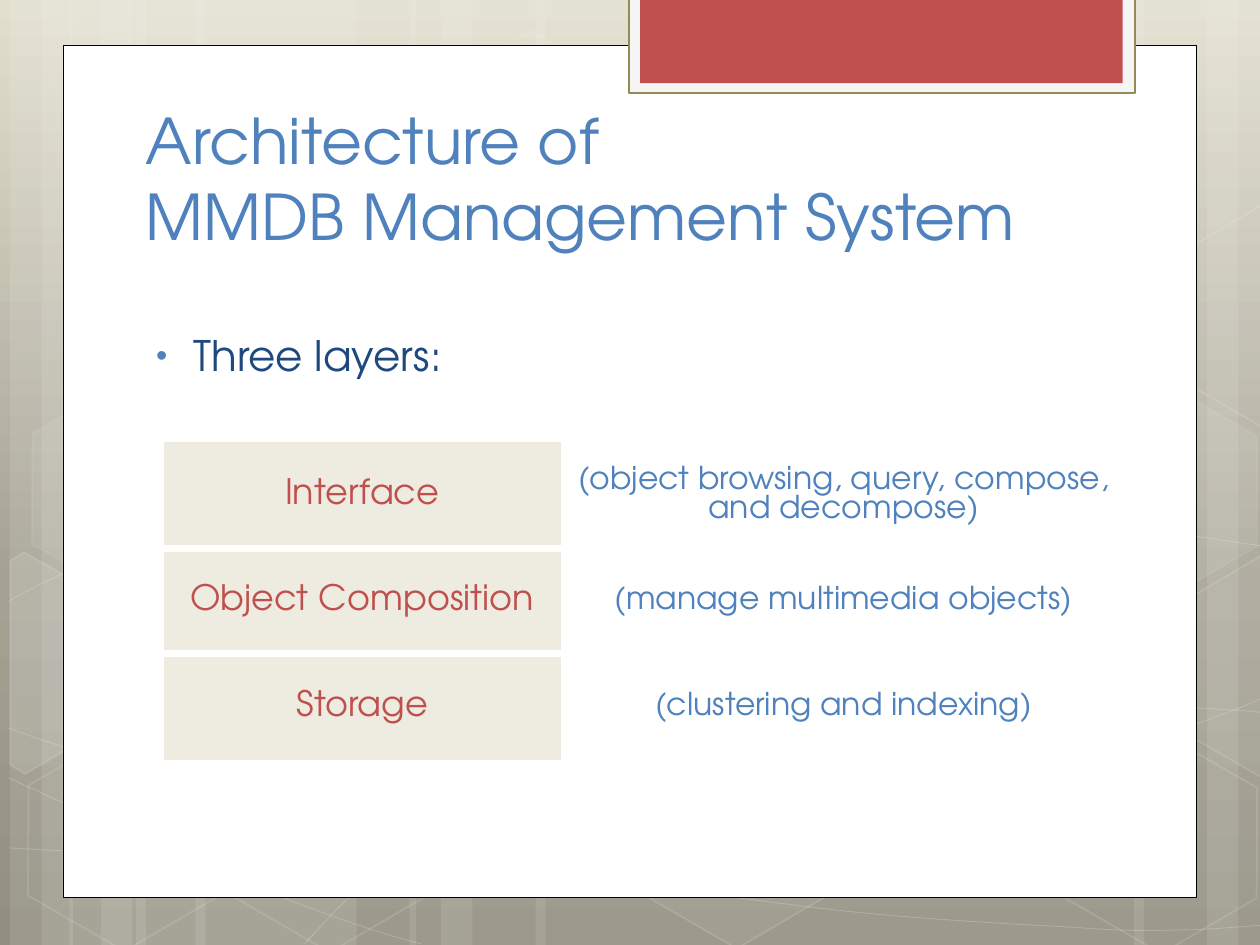
from copy import deepcopy
from math import cos, radians, sin
from lxml import etree
from pptx import Presentation, util as u
from pptx.dml.color import RGBColor
from pptx.enum import shapes, text
from pptx.oxml.ns import qn

C = dict(white="FFFFFF", black="000000", mat="F5F5F5", olive="948A54", red="C0504D",
         blue="4F81BD", navy="1F497D", cream="EEECE1")
FONT = "TeX Gyre Adventor"
NO_GRID = "{2D5ABB26-0587-4C30-8999-92F81FD0307C}"
COLS, ROWS = 10, 7.5  # slide grid, one unit to the inch

prs = Presentation()
prs.slide_width, prs.slide_height = u.Inches(COLS), u.Inches(ROWS)
s = prs.slides.add_slide(prs.slide_layouts[6])


def rgb(name):
    return RGBColor.from_string(C.get(name, name))


def inside(box, x, y, w, h):
    """Place a part, measured in grid units, relative to its box."""
    return box[0] + x, box[1] + y, w, h


def sub(parent, tag, **attrs):
    return etree.SubElement(parent, qn(tag), {k: str(v) for k, v in attrs.items()})


def paint(fill, color, alpha=100):
    if not color or not alpha:
        fill.background()
        return
    fill.solid()
    fill.fore_color.rgb = rgb(color)
    if alpha < 100:
        clr = fill._xPr.find(qn("a:solidFill"))[0]
        sub(clr, "a:alpha", val=alpha * 1000)


def style(sp, fill=None, alpha=100, line=None, width=1, line_alpha=100):
    sp.shadow.inherit = False
    paint(sp.fill, fill, alpha)
    paint(sp.line.fill, line, line_alpha)
    if line:
        sp.line.width = u.Pt(width)
    return sp


def shape(kind, box, **look):
    return style(s.shapes.add_shape(kind, *map(u.Inches, box)), **look)


def rect(box, **look):
    return shape(shapes.MSO_SHAPE.RECTANGLE, box, **look)


def outline(box, points, closed, **look):
    pts = [(u.Inches(box[0] + x), u.Inches(box[1] + y)) for x, y in points]
    fb = s.shapes.build_freeform(*pts[0])
    fb.add_line_segments(pts[1:], close=closed)
    return style(fb.convert_to_shape(), **look)


def curve(box, points, straight=(), **look):
    """Join each three points into one cubic curve, save for straight ends."""
    sp = outline(box, points, False, **look)
    segs = list(sp._element.iter(qn("a:lnTo")))
    i = 0
    while i < len(segs):
        if points[i + 1] in straight:
            i += 1
            continue
        segs[i].tag = qn("a:cubicBezTo")
        for seg in segs[i + 1:i + 3]:
            segs[i].append(seg[0])
            seg.getparent().remove(seg)
        i += 3


def turn(points, center, degrees):
    a, (cx, cy) = radians(degrees), center
    return [(cx + (x - cx) * cos(a) - (y - cy) * sin(a),
             cy + (x - cx) * sin(a) + (y - cy) * cos(a)) for x, y in points]


def textbox(box, words, **fmt):
    tf = s.shapes.add_textbox(*map(u.Inches, box)).text_frame
    tf.word_wrap = True
    p = tf.paragraphs[0]
    write(p, words, **fmt)
    return p


def write(p, words, size, color):
    for i, line in enumerate(words.split("\n")):
        if i:
            p.add_line_break()
        r = p.add_run()
        r.text = line
        r.font.color.rgb = rgb(color)
        for k, v in dict(name=FONT, size=u.Pt(size)).items():
            setattr(r.font, k, v)


# Backdrop: gradient, pale stripes, thin waves and hexagons
STRIPES = [(1.08, 1.75), (0.08, 0.5), (0.33, 0.83), (1.55, 1.75), (0.55, 0.5), (0.8, 0.83),
           (7.33, 1.75), (9.58, 0.5), (9, 0.83), (4.25, 3.08), (3.25, 0.5), (3.5, 0.83)]
WAVES = [
    [(0.07, 6.73), (0.61, 6.76), (1.15, 6.79), (1.9, 6.78), (2.65, 6.77), (3.58, 6.75),
     (4.58, 6.65), (5.58, 6.55), (7, 6.36), (7.92, 6.17), (8.83, 5.98), (9.77, 5.68), (10.07, 5.51)],
    [(0.07, 4.77), (0.36, 4.61), (0.65, 4.46), (1.21, 4.31), (1.78, 4.16), (2.59, 3.94),
     (3.47, 3.87), (4.36, 3.8), (5.44, 3.79), (6.54, 3.87), (7.64, 3.95), (9.47, 4.26), (10.07, 4.34)],
    [(0.06, 6.17), (1.27, 6.72), (2.47, 7.27), (3.34, 7.49)],
    [(0.07, 5.78), (0.38, 5.89), (0.7, 6), (1.28, 6.16), (1.86, 6.31), (2.73, 6.56), (3.57, 6.73),
     (4.4, 6.9), (5.45, 7.08), (6.28, 7.18), (7.11, 7.29), (8, 7.33), (8.53, 7.36),
     (9.05, 7.4), (9.19, 7.38), (9.45, 7.38), (9.71, 7.37), (9.89, 7.35), (10.07, 7.34)],
    [(2.42, 7.49), (2.6, 7.29), (2.78, 7.09), (3.02, 6.91), (3.26, 6.73), (3.6, 6.53), (3.88, 6.39),
     (4.16, 6.25), (4.33, 6.19), (4.7, 6.09), (5.06, 5.99), (5.73, 5.85), (6.08, 5.78),
     (6.44, 5.71), (6.49, 5.71), (6.8, 5.69), (7.11, 5.66), (7.6, 5.63), (7.94, 5.62),
     (8.29, 5.61), (8.86, 5.62), (8.86, 5.62), (9.53, 5.62),
     (9.71, 5.63), (9.88, 5.64), (9.97, 5.65), (10.06, 5.66), (10.03, 5.65), (10.06, 5.66)]]
STRAIGHT = [(9.53, 5.62)]
# left, top, fill alpha, line alpha
HEXAGONS = [(3.34, 0.36, 4, 8), (4.97, 5.89, 6, 12), (0.11, 5.91, 0, 12), (0.14, 3.12, 7, 8),
            (1.74, 5.92, 0, 12), (7.53, 4.53, 10, 12), (8.34, 5.93, 0, 12), (8.34, 3.14, 7, 8)]
# fill alpha, center, corners
CUT_HEXAGONS = [
    (10, (0.36, 5.35),
     [(0.08, 4.45), (0.19, 4.38), (0.96, 4.82), (0.95, 5.7), (0.2, 6.14), (0.08, 6.07)]),
    (4, (9.85, 5.2),
     [(9.26, 4.85), (10.01, 4.41), (10.09, 4.46), (10.09, 6.13), (10.02, 6.17), (9.26, 5.73)]),
    (0, (9.85, 2.41),
     [(9.26, 2.07), (10.01, 1.63), (10.1, 1.68), (10.09, 3.35), (10.02, 3.39), (9.26, 2.95)])]


def backdrop(box):
    fill = s.background.fill
    fill.gradient()
    fill.gradient_angle = 270
    stops = s._element.find(".//" + qn("a:gsLst"))
    stops.append(deepcopy(stops[-1]))
    for stop, (pos, color) in zip(fill.gradient_stops,
                                  [(0, "E2DFCF"), (0.62, "A5A293"), (1, "928F80")]):
        stop.position = pos
        stop.color.rgb = rgb(color)
    for x, w in STRIPES:
        rect(inside(box, x, 0, w, box[3]), fill="white", alpha=10)
    for wave in WAVES:
        curve(box, wave, STRAIGHT, line="white", width=0.5, line_alpha=20)
    for x, y, alpha, line_alpha in HEXAGONS:
        sp = shape(shapes.MSO_SHAPE.HEXAGON, inside(box, x, y, 1.75, 1.52),
                   fill="white", alpha=alpha, line="white", line_alpha=line_alpha)
        sp.adjustments[0] = 0.285
        sp.rotation = 30
    for alpha, center, corners in CUT_HEXAGONS:
        sp = outline(box, turn(corners, center, -30), True,
                     fill="white", alpha=alpha, line="white", line_alpha=12)
        sp.rotation = 30


# White sheet with the red tab on its top edge
def sheet(box):
    rect(box, fill="white", line="black", width=0.5)
    rect(inside(box, 4.49, -0.38, 4.02, 0.76), fill="mat", line="olive", width=1.25)
    rect(inside(box, 4.58, -0.38, 3.83, 0.68), fill="red")


# Title and bullet
def heading(box):
    textbox(inside(box, 0, 0, 7.68, 1.62), "Architecture of \nMMDB Management System",
            size=36, color="blue")
    p = textbox(inside(box, 0, 1.81, 7.41, 3.84), "Three layers: ", size=24, color="navy")
    pPr = p._p.get_or_add_pPr()
    for k, v in dict(marL=0.38, indent=-0.3).items():
        pPr.set(k, str(u.Inches(v)))
    sub(sub(pPr, "a:buClr"), "a:srgbClr", val=C["blue"])
    sub(pPr, "a:buSzPct", val=76000)
    sub(pPr, "a:buFont", typeface="Arial")
    sub(pPr, "a:buChar", char="•")


# Table of layers: name, then what it does
LAYERS = [("Interface", "(object browsing, query, compose, and decompose)"),
          ("Object Composition", "(manage multimedia objects)"),
          ("Storage", "(clustering and indexing)")]
COLUMNS = [dict(width=3.15, fill="cream", size=20, color="red"),
           dict(width=4.49, fill="white", size=18, color="blue")]


def layers(box):
    table = s.shapes.add_table(len(LAYERS), len(COLUMNS), *map(u.Inches, box)).table
    table.first_row = table.horz_banding = False
    table._tbl.tblPr.find(qn("a:tableStyleId")).text = NO_GRID
    for col, fmt in zip(table.columns, COLUMNS):
        col.width = u.Inches(fmt["width"])
    for i, row in enumerate(LAYERS):
        for j, (words, fmt) in enumerate(zip(row, COLUMNS)):
            cell = table.cell(i, j)
            cell.vertical_anchor = text.MSO_ANCHOR.MIDDLE
            tcPr = cell._tc.get_or_add_tcPr()
            for edge, shown in dict(T=i > 0, B=i < len(LAYERS) - 1).items():
                if shown:
                    ln = sub(tcPr, "a:ln" + edge, w=u.Pt(4.5))
                    sub(sub(ln, "a:solidFill"), "a:srgbClr", val=C["white"])
            paint(cell.fill, fmt["fill"])
            p = cell.text_frame.paragraphs[0]
            p.alignment = text.PP_ALIGN.CENTER
            write(p, words, fmt["size"], fmt["color"])


backdrop((0, 0, COLS, ROWS))
sheet((0.5, 0.36, 9, 6.76))
heading((1.06, 0.76, 7.68, 5.65))
layers((1.3, 3.51, 7.64, 2.52))
prs.save("out.pptx")
